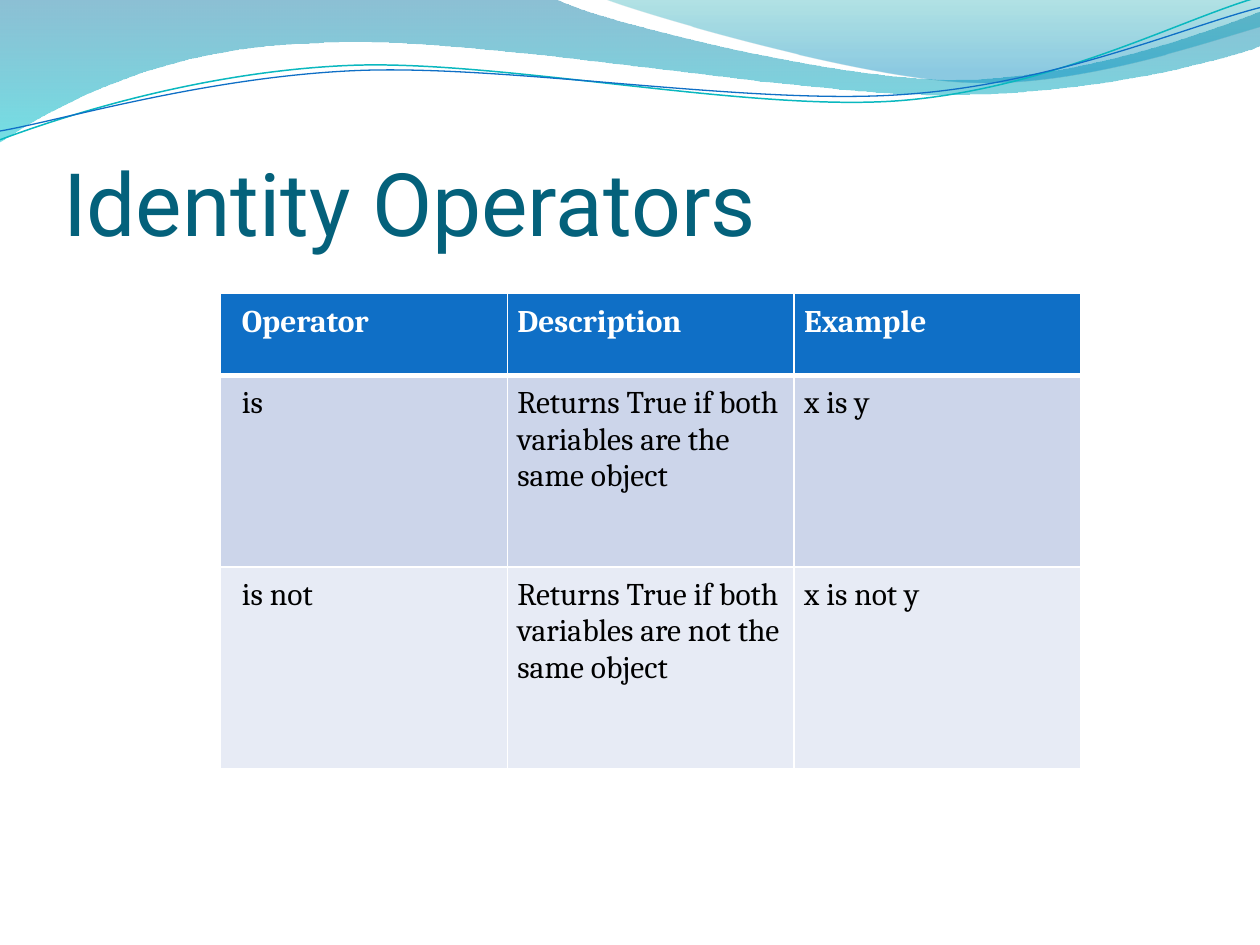
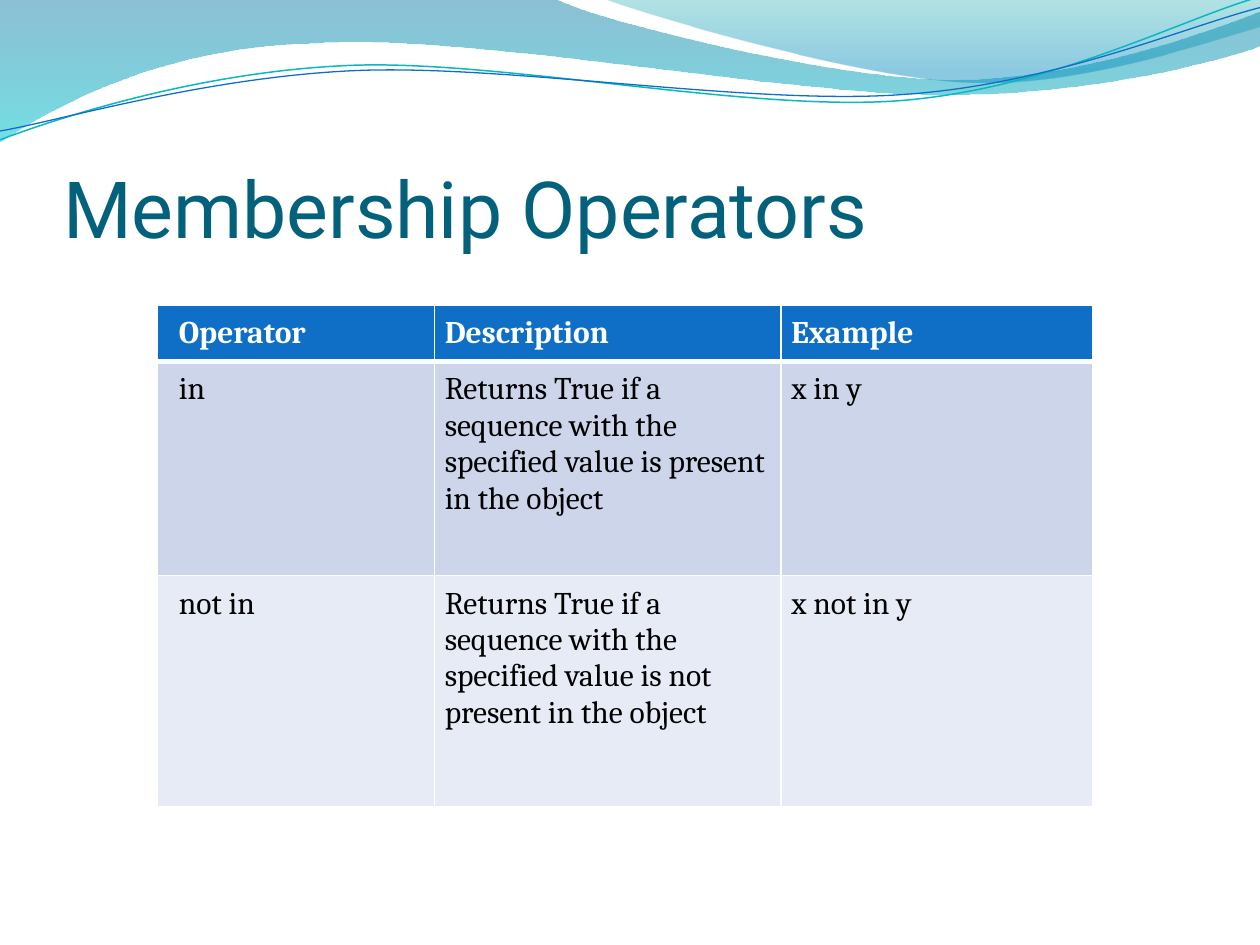
import math

from lxml import etree
from pptx import Presentation
from pptx import util as u
from pptx.dml.color import RGBColor
from pptx.enum import text
from pptx.oxml import ns

WHITE = RGBColor(0xFF, 0xFF, 0xFF)
BLACK = RGBColor(0x00, 0x00, 0x00)
TITLE_TEAL = RGBColor(0x04, 0x61, 0x7B)
HEADER_BLUE = RGBColor(0x0F, 0x6F, 0xC6)
THREAD_TEAL = RGBColor(0x0A, 0xB8, 0xBF)
BAND_FILLS = (RGBColor(0xCC, 0xD5, 0xEA), RGBColor(0xE7, 0xEB, 0xF5))
DEEP_BLUE = RGBColor(0x00, 0x74, 0xA1)
CYAN = RGBColor(0x00, 0xC6, 0xCF)
SEA_GREEN = RGBColor(0x00, 0xA1, 0xA9)
SKY_BLUE = RGBColor(0x00, 0x8B, 0xBF)

TITLE_FONT = "Roboto"
TABLE_FONT = "Cambria"
TITLE_BOX = (0.5, 0.77, 9, 1.25)
HEADINGS = ("Operator", "Description", "Example")
THREAD_TILT = -2.7
FIRST_WAVE_ID = 20

RIBBONS = (
    ((-0.01, -0.01, 10.02, 1.14),
     ((0, 0), (4.4, -0.01), (4.76, 0.17, 6.64, 0.63, 7.58, 0.63),
      (8.53, 0.63, 9.58, 0.26, 10, 0.09), (10.01, 0.36),
      (9.83, 0.44, 8.7, 0.76, 7.46, 0.75), (6.22, 0.75, 3.82, 0.28, 2.57, 0.34),
      (1.29, 0.36, 0.46, 0.83, -0.01, 1.13), (0, 0)),
     ((0, DEEP_BLUE, 45), (1, CYAN, 55))),
    ((4.79, -0.01, 5.21, 0.7),
     ((4.79, -0.01), (5.09, 0.11, 6.82, 0.62, 7.69, 0.65),
      (8.56, 0.69, 9.61, 0.32, 10, 0.21), (10, 0), (4.79, -0.01)),
     ((0, SEA_GREEN, 30), (0.8, SKY_BLUE, 45))),
)
THREADS = (
    ((-0.02, 0.22, 10.02, 0.71),
     ((0, 1.11), (0.48, 0.93, 1.58, 0.57, 2.77, 0.52),
      (3.95, 0.47, 5.93, 0.89, 7.13, 0.8), (8.33, 0.71, 9.38, 0.15, 9.98, -0.02)),
     THREAD_TEAL, 0.85),
    ((-0.02, 0.3, 10.03, 0.58),
     ((0, 1.04), (0.47, 0.96, 1.64, 0.61, 2.83, 0.56),
      (4.03, 0.51, 5.97, 0.84, 7.17, 0.75), (8.36, 0.67, 9.41, 0.21, 10, 0.06)),
     HEADER_BLUE, 0.75),
)

SLIDES = (
    {"title": "Identity Operators", "title_size": 50, "box": (1.75, 2.33, 6.83, 3.77),
     "columns": (1, 1, 1), "rows": (0.65, 1.52, 1.6),
     "operators": (
         ("is", "Returns True if both variables are the same object", "x is y"),
         ("is not", "Returns True if both variables are not the same object", "x is not y"))},
    {"title": "Membership Operators", "title_size": 45, "box": (1.25, 2.42, 7.42, 4),
     "columns": (2.2, 2.75, 2.47), "rows": (0.41, 1.7, 1.83),
     "operators": (
         ("in", "Returns True if a sequence with the specified value is present in the object",
          "x in y"),
         ("not in",
          "Returns True if a sequence with the specified value is not present in the object",
          "x not in y"))},
)


def apply_format(target, values):
    """Set each named attribute of the target."""
    for name, value in values.items():
        setattr(target, name, value)


def place(shape, box):
    """Move and size a shape to a box in inches."""
    apply_format(shape, dict(zip(("left", "top", "width", "height"), map(u.Inches, box))))


def to_local(point, box, tilt):
    """Turn a slide point into a point of a tilted box, in EMU."""
    left, top, width, height = box
    across, down = point[0] - left - width / 2, point[1] - top - height / 2
    cosine, sine = math.cos(math.radians(tilt)), math.sin(math.radians(tilt))
    return (u.Inches(width / 2 + across * cosine + down * sine),
            u.Inches(height / 2 - across * sine + down * cosine))


def add_outline(slide, box, outline, tilt=0):
    """Draw a shadowless freeform of straight and cubic steps in a box."""
    ends = [(u.Inches(step[-2]), u.Inches(step[-1])) for step in outline]
    builder = slide.shapes.build_freeform(*ends[0])
    builder.add_line_segments(ends[1:], close=ends[0] == ends[-1])
    shape = builder.convert_to_shape()
    place(shape, box)
    shape.rotation = tilt % 360
    shape.shadow.inherit = False
    outline_path = next(shape.element.iter(ns.qn("a:path")))
    for name, length in zip("wh", box[2:]):
        outline_path.set(name, str(u.Inches(length)))
    for segment, step in zip(list(outline_path), outline):
        if len(step) == 6:
            segment.tag
            curve = etree.SubElement(outline_path, ns.qn("a:cubicBezTo"))
            outline_path.replace(segment, curve)
            segment = curve
        for point in list(segment):
            segment.remove(point)
        for index in range(0, len(step), 2):
            x, y = to_local(step[index:index + 2], box, tilt)
            etree.SubElement(segment, ns.qn("a:pt"), x=str(x), y=str(y))
    return shape


def add_ribbon(slide, box, outline, stops):
    """Draw a ribbon with a translucent top-to-bottom gradient."""
    shape = add_outline(slide, box, outline)
    shape.line.fill.background()
    shape.fill.gradient()
    shape.fill.gradient_angle = 270
    for stop, (position, color, _) in zip(shape.fill.gradient_stops, stops):
        stop.position = position
        stop.color.rgb = color
    for element, (_, _, opacity) in zip(shape.element.iter(ns.qn("a:gs")), stops):
        etree.SubElement(element[0], ns.qn("a:alpha"), val=str(opacity * 1000))
    return shape


def add_thread(slide, box, outline, color, width):
    """Draw a thin wavy line."""
    shape = add_outline(slide, box, outline, THREAD_TILT)
    shape.fill.background()
    shape.line.color.rgb = color
    shape.line.width = u.Pt(width)
    return shape


def move_waves_to_master(slide, master):
    """Build the wave band once and place it behind the master's placeholders."""
    waves = [add_ribbon(slide, *ribbon) for ribbon in RIBBONS]
    waves += [add_thread(slide, *thread) for thread in THREADS]
    for index, wave in enumerate(waves):
        next(wave.element.iter(ns.qn("p:cNvPr"))).set("id", str(FIRST_WAVE_ID + index))
        master.shapes.element.insert(2 + index, wave.element)


def format_title(slide, title, size, box):
    """Place and style the title placeholder in its box."""
    shape = slide.shapes.title
    place(shape, box)
    frame = shape.text_frame
    frame.text = title
    apply_format(frame, {
        "word_wrap": True, "auto_size": text.MSO_AUTO_SIZE.NONE,
        "vertical_anchor": text.MSO_ANCHOR.BOTTOM, "margin_left": 0,
        "margin_top": u.Inches(0.05), "margin_right": 0, "margin_bottom": 0})
    paragraph = frame.paragraphs[0]
    paragraph.alignment = text.PP_ALIGN.LEFT
    apply_format(paragraph.font, {"name": TITLE_FONT, "size": u.Pt(size)})
    paragraph.font.color.rgb = TITLE_TEAL


def add_border(cell, side, width):
    """Give one side of a cell a white line."""
    properties = cell._tc.get_or_add_tcPr()
    line = etree.SubElement(properties, ns.qn(f"a:ln{side}"), w=str(u.Pt(width)))
    fill = etree.SubElement(line, ns.qn("a:solidFill"))
    etree.SubElement(fill, ns.qn("a:srgbClr"), val=str(WHITE))


def format_cell(cell, words, row, column):
    """Write and style one table cell."""
    header = row == 0
    cell.text = words
    margin = u.Inches(0.08)
    apply_format(cell, {
        "margin_left": u.Inches(0.17) if column == 0 else margin, "margin_top": margin,
        "margin_right": margin, "margin_bottom": margin,
        "vertical_anchor": text.MSO_ANCHOR.TOP})
    heavy_side = {0: "B", 1: "T"}.get(row)
    for side in "LRTB":
        add_border(cell, side, 3 if side == heavy_side else 1)
    cell.fill.solid()
    cell.fill.fore_color.rgb = HEADER_BLUE if header else BAND_FILLS[(row - 1) % 2]
    font = cell.text_frame.paragraphs[0].font
    apply_format(font, {"name": TABLE_FONT, "size": u.Pt(18), "bold": header})
    font.color.rgb = WHITE if header else BLACK


def add_operator_table(slide, box, columns, rows, operators):
    """Add a table of operators, sharing the box width among the columns."""
    table = slide.shapes.add_table(len(rows), len(columns), *map(u.Inches, box)).table
    for column, share in zip(table.columns, columns):
        column.width = u.Inches(box[2] * share / sum(columns))
    for row, height in zip(table.rows, rows):
        row.height = u.Inches(height)
    for row, entries in enumerate((HEADINGS, *operators)):
        for column, words in enumerate(entries):
            format_cell(table.cell(row, column), words, row, column)


def add_operator_slide(presentation, layout, content):
    """Add a slide with a title and an operator table."""
    slide = presentation.slides.add_slide(layout)
    format_title(slide, content["title"], content["title_size"], TITLE_BOX)
    add_operator_table(slide, content["box"], content["columns"], content["rows"],
                       content["operators"])
    return slide


def main():
    """Build and save the presentation."""
    presentation = Presentation()
    presentation.slide_width = u.Inches(10)
    presentation.slide_height = u.Inches(7.5)
    layout = presentation.slide_layouts[5]
    slides = [add_operator_slide(presentation, layout, content) for content in SLIDES]
    move_waves_to_master(slides[0], presentation.slide_master)
    presentation.save("out.pptx")


if __name__ == "__main__":
    main()
